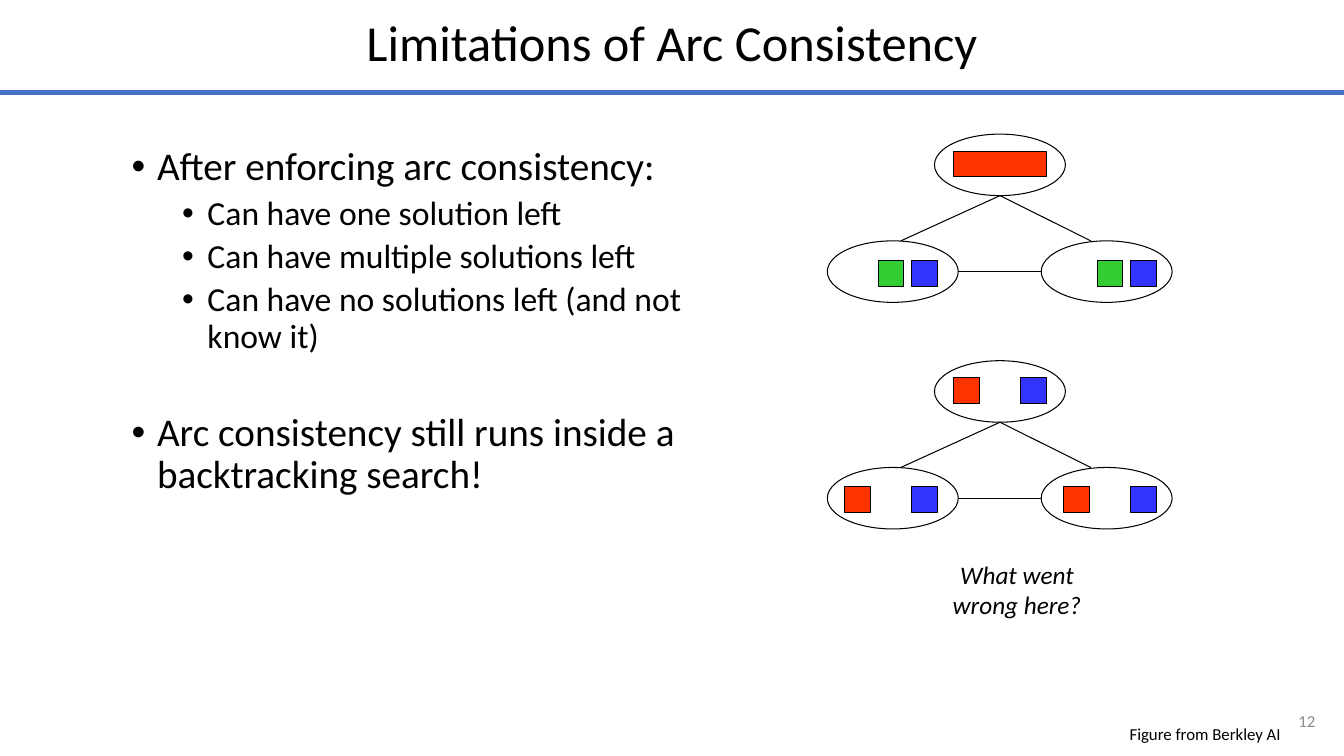
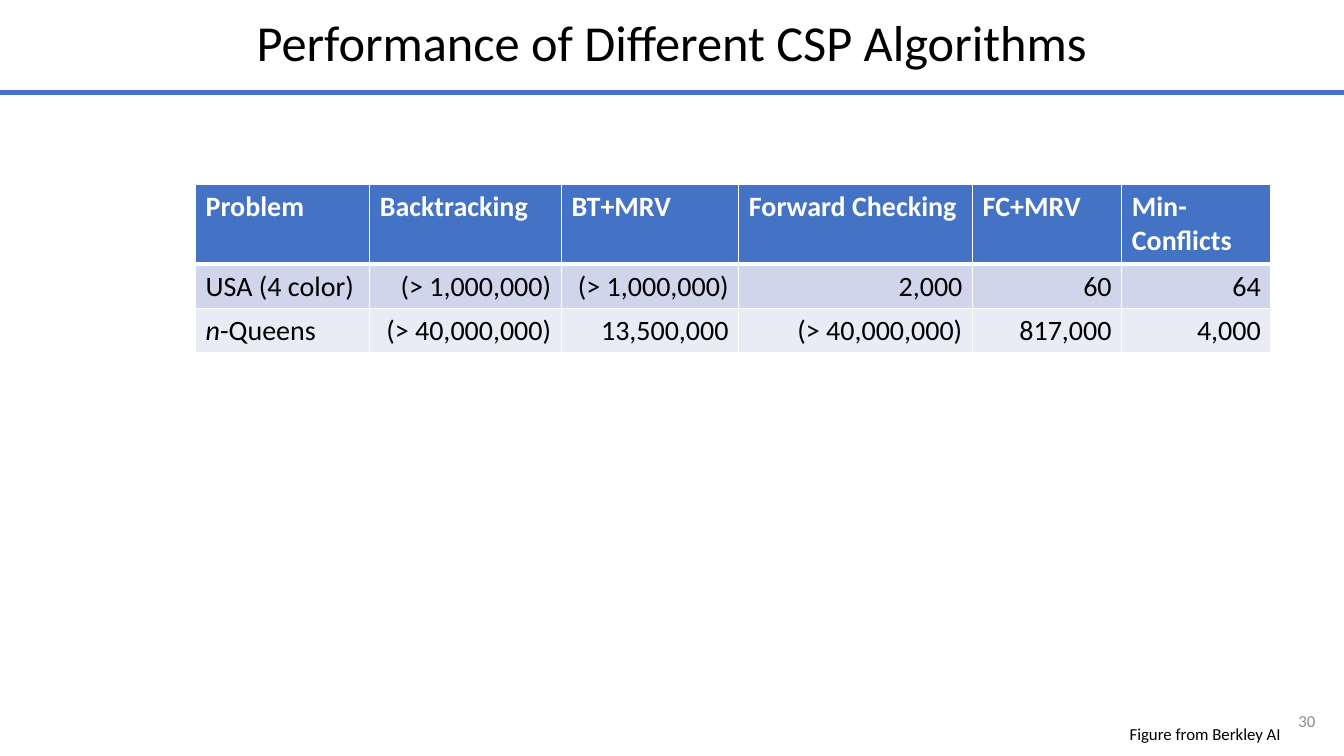
from lxml.etree import SubElement
from pptx import Presentation
from pptx.dml.color import RGBColor
from pptx.enum.shapes import MSO_CONNECTOR as Connector, MSO_SHAPE as Shape
from pptx.enum.text import MSO_ANCHOR as Anchor, MSO_AUTO_SIZE as AutoSize, PP_ALIGN as Align
from pptx.oxml.ns import qn
from pptx.util import Cm, Pt

BLACK = RGBColor(0x00, 0x00, 0x00)
WHITE = RGBColor(0xFF, 0xFF, 0xFF)
GRAY = RGBColor(0x8C, 0x8C, 0x8C)
ACCENT = RGBColor(0x44, 0x72, 0xC4)
ROW_TINTS = (RGBColor(0xCF, 0xD5, 0xEA), RGBColor(0xE9, 0xEB, 0xF5))
RED = RGBColor(0xFF, 0x33, 0x00)
GREEN = RGBColor(0x33, 0xCC, 0x33)
BLUE = RGBColor(0x33, 0x33, 0xFF)

FONT = "Calibri"
SLIDE_WIDTH, SLIDE_HEIGHT = 33.87, 19.05
RULE_TOP = 2.34

NODE_WIDTH, NODE_HEIGHT = 3.3, 1.55
SWATCH_SIZE, SLOT_STEP = 0.65, 0.85
# Node: left, top within the graph, first slot's left and top within the node
NODES = {
    "top": (23.55, 0, 0.48, 0.43),
    "left": (20.85, 2.69, 0.43, 0.49),
    "right": (26.24, 2.69, 0.56, 0.49),
}
# Swatches of each node: color, first slot, number of slots
CONSISTENT = {
    "top": [(RED, 0, 3)],
    "left": [(GREEN, 1, 1), (BLUE, 2, 1)],
    "right": [(GREEN, 1, 1), (BLUE, 2, 1)],
}
UNSOLVABLE = {node: [(RED, 0, 1), (BLUE, 2, 1)] for node in NODES}

BULLETS = [
    (0, 0, "After enforcing arc consistency:"),
    (1, 5, "Can have one solution left"),
    (1, 5, "Can have multiple solutions left"),
    (1, 5, "Can have no solutions left (and not know it)"),
    (0, 41, "Arc consistency still runs inside a backtracking search!"),
]

COLUMN_WIDTHS = (4.39, 4.83, 4.47, 5.89, 3.76, 3.76)
ROW_HEIGHTS = (2.01, 1.11, 1.11)
RESULTS = [
    ["Problem", "Backtracking", "BT+MRV", "Forward Checking", "FC+MRV", "Min-Conflicts"],
    ["USA (4 color)", "(> 1,000,000)", "(> 1,000,000)", "2,000", "60", "64"],
    ["n-Queens", "(> 40,000,000)", "13,500,000", "(> 40,000,000)", "817,000", "4,000"],
]


def set_format(target, values):
    for name, value in values.items():
        setattr(target, name, value)


def add_span(para, text, size, color=BLACK, **font_format):
    span = para.add_run()
    span.text = text
    set_format(span.font, {"name": FONT, "size": Pt(size), **font_format})
    span.font.color.rgb = color


def place(box, left, top, width, height):
    set_format(box, {"left": Cm(left), "top": Cm(top), "width": Cm(width), "height": Cm(height)})


def add_box(page, left, top, width, height, anchor=Anchor.TOP):
    box = page.shapes.add_textbox(Cm(left), Cm(top), Cm(width), Cm(height))
    set_format(box.text_frame, {"word_wrap": True, "vertical_anchor": anchor})
    return box.text_frame


def add_line(shapes, start, end, color, width):
    line = shapes.add_connector(Connector.STRAIGHT, *map(Cm, start + end))
    line.line.color.rgb = color
    line.line.width = Pt(width)
    SubElement(line._element.spPr, qn("a:effectLst"))


def add_outlined(shapes, kind, left, top, width, height, fill=None):
    shape = shapes.add_shape(kind, Cm(left), Cm(top), Cm(width), Cm(height))
    shape.shadow.inherit = False
    shape.line.color.rgb = BLACK
    shape.line.width = Pt(0.75)
    if fill is None:
        shape.fill.background()
    else:
        shape.fill.solid()
        shape.fill.fore_color.rgb = fill


def add_page(deck, title, number):
    """Start a page with the title, rule, page number and credit."""
    page = deck.slides.add_slide(deck.slide_layouts[5])
    heading = page.shapes.title
    place(heading, 0, -0.05, SLIDE_WIDTH, 2.39)
    set_format(heading.text_frame, {"auto_size": AutoSize.NONE, "vertical_anchor": Anchor.MIDDLE})
    para = heading.text_frame.paragraphs[0]
    set_format(para, {"alignment": Align.CENTER, "line_spacing": 0.9})
    add_span(para, title, 36)

    add_line(page.shapes, (0, RULE_TOP), (SLIDE_WIDTH, RULE_TOP), ACCENT, 3.75)

    para = add_box(page, 31.67, 17.65, 1.73, 1.02, Anchor.MIDDLE).paragraphs[0]
    para.alignment = Align.RIGHT
    add_span(para, str(number), 12, GRAY)

    para = add_box(page, 27.5, 18.16, 5.03, 0.69).paragraphs[0]
    set_format(para, {"alignment": Align.RIGHT, "line_spacing": 0.9})
    add_span(para, "Figure from Berkley AI", 12)
    return page


def add_bullets(page, items):
    frame = add_box(page, 3.07, 3.58, 15.44, 12.57)
    for index, (level, space, text) in enumerate(items):
        para = frame.add_paragraph() if index else frame.paragraphs[0]
        properties = para._p.get_or_add_pPr()
        properties.set("marL", str(Cm(0.64 + 1.27 * level)))
        properties.set("indent", str(-Cm(0.64)))
        SubElement(properties, qn("a:buFont"), typeface="Arial")
        SubElement(properties, qn("a:buChar"), char="•")
        set_format(para, {"level": level, "line_spacing": 0.9, "space_before": Pt(space)})
        add_span(para, text, 28 - 4 * level)


def add_graph(page, top, domains):
    """Draw three joined nodes with the colors left in each domain."""
    shapes = page.shapes.add_group_shape().shapes
    for node, (left, drop, slot_left, slot_top) in NODES.items():
        add_outlined(shapes, Shape.OVAL, left, top + drop, NODE_WIDTH, NODE_HEIGHT)
        for color, slot, count in domains[node]:
            add_outlined(shapes, Shape.RECTANGLE, left + slot_left + slot * SLOT_STEP,
                         top + drop + slot_top, SWATCH_SIZE + (count - 1) * SLOT_STEP,
                         SWATCH_SIZE, color)

    apex = (NODES["top"][0] + NODE_WIDTH / 2, top + NODE_HEIGHT)
    left_x, drop = NODES["left"][:2]
    right_x = NODES["right"][0]
    low_top = top + drop
    middle = low_top + NODE_HEIGHT / 2
    for start, end in (
        (apex, (left_x + 1.85, low_top)),
        (apex, (right_x + 1.25, low_top)),
        ((left_x + NODE_WIDTH, middle), (right_x, middle)),
    ):
        add_line(shapes, start, end, BLACK, 0.75)


def set_borders(cell, widths):
    """Give a cell white borders; widths are points by side, L R T B."""
    properties = cell._tc.get_or_add_tcPr()
    for side, width in widths.items():
        border = SubElement(properties, qn(f"a:ln{side}"), w=str(Pt(width)))
        fill = SubElement(border, qn("a:solidFill"))
        SubElement(fill, qn("a:srgbClr"), val=str(WHITE))


def add_results(page, rows):
    frame = page.shapes.add_table(len(rows), len(COLUMN_WIDTHS), Cm(4.93), Cm(4.65),
                                  Cm(sum(COLUMN_WIDTHS)), Cm(sum(ROW_HEIGHTS)))
    table = frame.table
    for column, width in zip(table.columns, COLUMN_WIDTHS):
        column.width = Cm(width)
    for row, height in zip(table.rows, ROW_HEIGHTS):
        row.height = Cm(height)
    for row, texts in enumerate(rows):
        header = row == 0
        for column, text in enumerate(texts):
            cell = table.cell(row, column)
            set_borders(cell, {"L": 1, "R": 1, "T": 3 if row == 1 else 1, "B": 3 if header else 1})
            cell.fill.solid()
            cell.fill.fore_color.rgb = ACCENT if header else ROW_TINTS[row - 1]
            para = cell.text_frame.paragraphs[0]
            para.alignment = Align.LEFT if header or column == 0 else Align.RIGHT
            if text.startswith("n-"):
                add_span(para, "n", 20, italic=True, bold=False)
                text = text[1:]
            add_span(para, text, 20, WHITE if header else BLACK, bold=header)


def main():
    deck = Presentation()
    set_format(deck, {"slide_width": Cm(SLIDE_WIDTH), "slide_height": Cm(SLIDE_HEIGHT)})

    page = add_page(deck, "Limitations of Arc Consistency", 12)
    add_bullets(page, BULLETS)
    add_graph(page, 3.38, CONSISTENT)
    add_graph(page, 9.09, UNSOLVABLE)
    question = add_box(page, 23.19, 13.97, 4.88, 1.8).paragraphs[0]
    question.alignment = Align.CENTER
    add_span(question, "What went wrong here?", 18, italic=True)

    page = add_page(deck, "Performance of Different CSP Algorithms", 30)
    add_results(page, RESULTS)

    deck.save("out.pptx")


if __name__ == "__main__":
    main()
